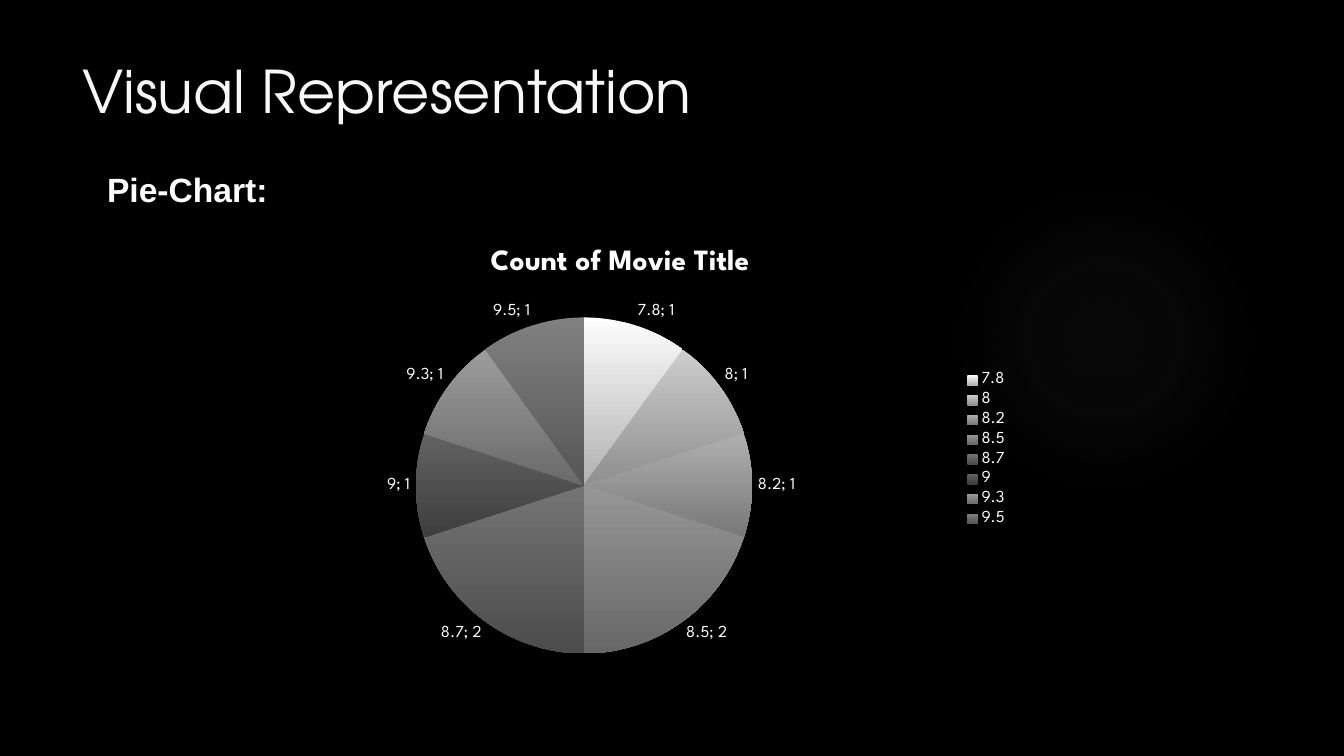
"""Build the "Visual Representation" slide with a pie chart of movie ratings."""
from copy import deepcopy
from dataclasses import dataclass

from lxml import etree
from pptx import Presentation
from pptx.chart.data import CategoryChartData
from pptx.dml.color import RGBColor
from pptx.enum.chart import XL_CHART_TYPE, XL_LABEL_POSITION, XL_LEGEND_POSITION
from pptx.enum.shapes import MSO_SHAPE
from pptx.enum.text import MSO_ANCHOR, MSO_AUTO_SIZE, PP_ALIGN
from pptx.oxml import parse_xml
from pptx.oxml.ns import nsdecls, qn
from pptx.util import Pt

TITLE = "Visual Representation"
SUBTITLE = "Pie-Chart:"
CHART_TITLE = "Count of Movie Title"
SERIES_NAMES = ["Series 1", "Series 2"]
RATINGS = [
    ("7.8", 1, "FDFDFD", "B1B1B1"),
    ("8", 1, "CDCDCD", "8F8F8F"),
    ("8.2", 1, "AFAFAF", "787878"),
    ("8.5", 2, "979797", "676767"),
    ("8.7", 2, "747474", "4C4C4C"),
    ("9", 1, "626262", "3E3E3E"),
    ("9.3", 1, "9C9C9C", "6A6A6A"),
    ("9.5", 1, "808080", "565656"),
]
GLOW_STOPS = [(0, 7), (36, 6), (69, 0)]

SLIDE_SIZE = (1344, 756)
GLOW_BOX = (949, 184, 310, 310)
TITLE_BOX = (72, 50, 1037, 105)
SUBTITLE_BOX = (97, 164, 986, 62)
CHART_BOX = (221, 226, 798, 447)
PIE_BOX = (416, 317, 336, 337)


@dataclass(frozen=True)
class Theme:
    background: str = "000000"
    glow: str = "666666"
    heading: str = "F8F8F8"
    text: str = "FFFFFF"
    heading_font: str = "TeX Gyre Adventor"
    body_font: str = "Arial"
    chart_font: str = "League Spartan"
    heading_size: int = 42
    body_size: int = 24
    chart_title_size: int = 21
    label_size: int = 12


THEME = Theme()


def px(length):
    return round(length * 914400 / 100.8)


def emu(box):
    return [px(length) for length in box]


def style(font, name, size, color, bold=False):
    font.name, font.size, font.bold = name, Pt(size), bold
    font.color.rgb = RGBColor.from_string(color)


def add_glow(slide):
    glow = slide.shapes.add_shape(MSO_SHAPE.OVAL, *emu(GLOW_BOX))
    glow.shadow.inherit = False
    glow.line.fill.background()
    stops = "".join(
        f'<a:gs pos="{pos * 1000}"><a:srgbClr val="{THEME.glow}">'
        f'<a:alpha val="{alpha * 1000}"/></a:srgbClr></a:gs>'
        for pos, alpha in GLOW_STOPS)
    glow._element.spPr.find(qn("a:prstGeom")).addnext(parse_xml(
        f'<a:gradFill {nsdecls("a")}><a:gsLst>{stops}</a:gsLst><a:path path="circle">'
        '<a:fillToRect l="50000" t="50000" r="50000" b="50000"/></a:path></a:gradFill>'))
    slide.shapes._spTree.insert(2, glow._element)


def fill_placeholder(placeholder, box, text):
    placeholder.left, placeholder.top, placeholder.width, placeholder.height = emu(box)
    frame = placeholder.text_frame
    frame.text = text
    frame.word_wrap = True
    frame.auto_size = MSO_AUTO_SIZE.NONE
    frame.vertical_anchor = MSO_ANCHOR.TOP
    paragraph = frame.paragraphs[0]
    paragraph.alignment = PP_ALIGN.LEFT
    paragraph.space_before = Pt(0)
    return paragraph


def place_pie(chart):
    left, top, width, height = CHART_BOX
    pie_left, pie_top, pie_width, pie_height = PIE_BOX
    fractions = {"x": (pie_left - left) / width, "y": (pie_top - top) / height,
                 "w": pie_width / width, "h": pie_height / height}
    plot_area = chart._chartSpace.chart.plotArea
    for layout in plot_area.findall(qn("c:layout")):
        plot_area.remove(layout)
    values = "".join(f'<c:{key} val="{value:.4f}"/>' for key, value in fractions.items())
    plot_area.insert(0, parse_xml(
        f'<c:layout {nsdecls("c")}><c:manualLayout><c:layoutTarget val="inner"/>'
        f'<c:xMode val="edge"/><c:yMode val="edge"/>{values}</c:manualLayout></c:layout>'))


def add_second_series(first):
    """Repeat the styled series for the second data column of the workbook."""
    second = deepcopy(first)
    for tag in ("c:idx", "c:order"):
        second.find(qn(tag)).set("val", "1")
    for part in ("c:tx", "c:val"):
        for reference in second.find(qn(part)).iter(qn("c:f")):
            reference.text = reference.text.replace("$B$", "$C$")
    next(second.find(qn("c:tx")).iter(qn("c:v"))).text = SERIES_NAMES[1]
    first.addnext(second)


def add_ratings_chart(slide):
    ratings = CategoryChartData()
    ratings.categories = [rating for rating, *_ in RATINGS]
    for name in SERIES_NAMES:
        ratings.add_series(name, [count for _, count, *_ in RATINGS])
    chart = slide.shapes.add_chart(XL_CHART_TYPE.PIE, *emu(CHART_BOX), ratings).chart
    style(chart.font, THEME.chart_font, THEME.label_size, THEME.text)

    chart.has_title = True
    chart.chart_title.include_in_layout = False
    heading = chart.chart_title.text_frame
    heading.text = CHART_TITLE
    style(heading.paragraphs[0].font, THEME.chart_font, THEME.chart_title_size,
          THEME.text, bold=True)

    chart.has_legend = True
    chart.legend.position = XL_LEGEND_POSITION.RIGHT
    chart.legend.include_in_layout = False
    style(chart.legend.font, THEME.chart_font, THEME.label_size, THEME.text)

    chart.plots[0].vary_by_categories = True
    series = chart.plots[0].series[0]
    for index, (_, _, *shades) in enumerate(RATINGS):
        slice_format = series.points[index].format
        slice_format.line.fill.background()
        slice_format.fill.gradient()
        slice_format.fill.gradient_angle = 270
        for stop, shade in zip(slice_format.fill.gradient_stops, shades):
            stop.color.rgb = RGBColor.from_string(shade)

    labels = series.data_labels
    labels.show_category_name = labels.show_value = True
    labels.position = XL_LABEL_POSITION.OUTSIDE_END
    style(labels.font, THEME.chart_font, THEME.label_size, THEME.text)
    separator = etree.Element(qn("c:separator"))
    separator.text = "; "
    labels._element.find(qn("c:showBubbleSize")).addnext(separator)
    add_second_series(series._element)
    place_pie(chart)


def main():
    deck = Presentation()
    deck.slide_width, deck.slide_height = emu(SLIDE_SIZE)
    slide = deck.slides.add_slide(deck.slide_layouts[1])
    slide.background.fill.solid()
    slide.background.fill.fore_color.rgb = RGBColor.from_string(THEME.background)
    add_glow(slide)

    title = fill_placeholder(slide.shapes.title, TITLE_BOX, TITLE)
    style(title.font, THEME.heading_font, THEME.heading_size, THEME.heading)

    subtitle = fill_placeholder(slide.placeholders[1], SUBTITLE_BOX, SUBTITLE)
    properties = subtitle._p.get_or_add_pPr()
    properties.set("marL", "0")
    properties.set("indent", "0")
    etree.SubElement(properties, qn("a:buNone"))
    style(subtitle.font, THEME.body_font, THEME.body_size, THEME.text, bold=True)

    add_ratings_chart(slide)
    deck.save("out.pptx")


if __name__ == "__main__":
    main()
